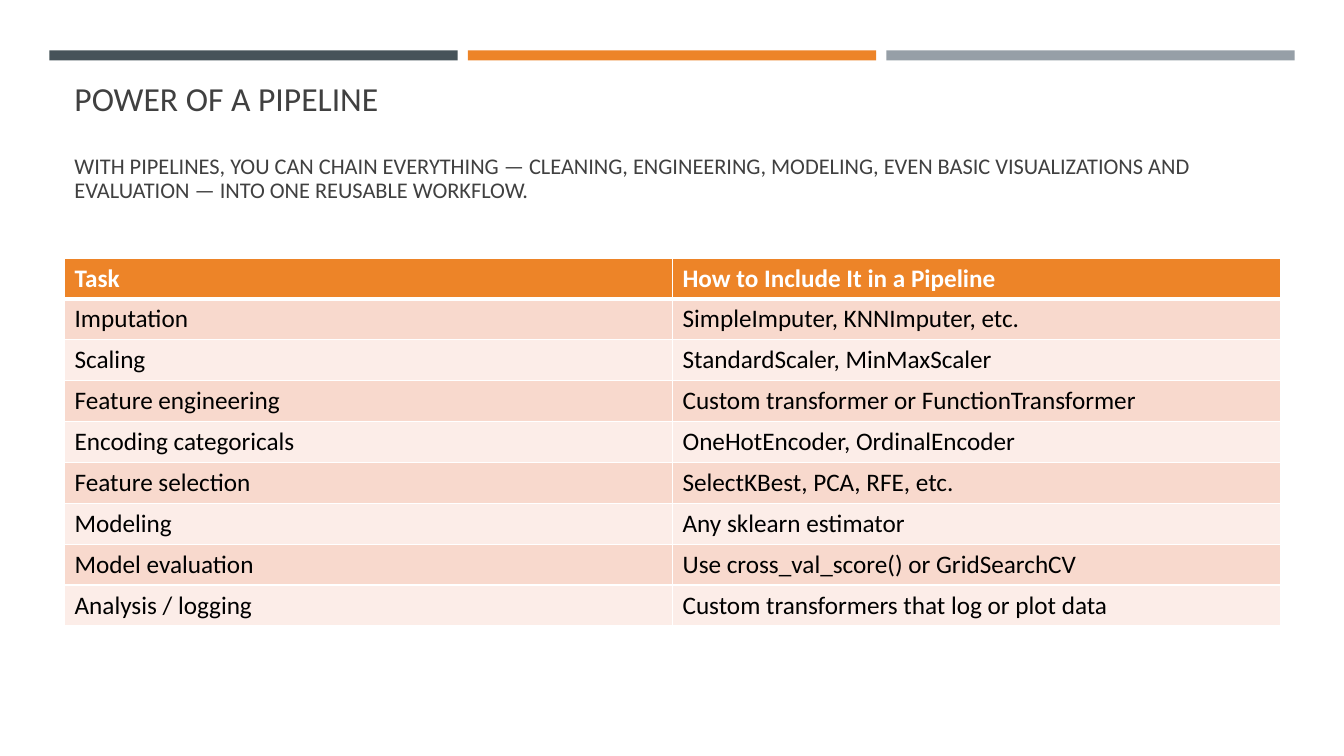
from lxml import etree
from pptx import Presentation
from pptx.dml.color import RGBColor
from pptx.enum.shapes import MSO_SHAPE
from pptx.enum.text import MSO_ANCHOR
from pptx.oxml.ns import qn
from pptx.util import Inches, Pt

RECTANGLE = MSO_SHAPE.RECTANGLE
MIDDLE = MSO_ANCHOR.MIDDLE
BOTTOM = MSO_ANCHOR.BOTTOM

FONT = "Calibri"
COLORS = {
    "slate": "465359",
    "orange": "ED8428",
    "gray": "969FA7",
    "heading": "404040",
    "white": "FFFFFF",
    "black": "000000",
    "band_dark": "F8D9CD",
    "band_light": "FCEDE8",
}

BARS = ["slate", "orange", "gray"]
HEADING = [  # text, size, space before
    ("POWER OF A PIPELINE", 24, 0),
    ("WITH PIPELINES, YOU CAN CHAIN EVERYTHING — CLEANING, ENGINEERING, MODELING, "
     "EVEN BASIC VISUALIZATIONS AND EVALUATION — INTO ONE REUSABLE WORKFLOW.", 16, 26),
]
TASKS = [
    ("Task", "How to Include It in a Pipeline"),
    ("Imputation", "SimpleImputer, KNNImputer, etc."),
    ("Scaling", "StandardScaler, MinMaxScaler"),
    ("Feature engineering", "Custom transformer or FunctionTransformer"),
    ("Encoding categoricals", "OneHotEncoder, OrdinalEncoder"),
    ("Feature selection", "SelectKBest, PCA, RFE, etc."),
    ("Modeling", "Any sklearn estimator"),
    ("Model evaluation", "Use cross_val_score() or GridSearchCV"),
    ("Analysis / logging", "Custom transformers that log or plot data"),
]

BAR_LEFT, BAR_TOP, BAR_WIDTH, BAR_HEIGHT, BAR_STEP = 0.49, 0.5, 4.05, 0.1, 4.15
CONTENT_LEFT, CONTENT_WIDTH = 0.64, 12.06
HEADING_TOP, HEADING_HEIGHT = 0.77, 1.3
TABLE_TOP, TABLE_HEIGHT = 2.56, 3.65


def color(name):
    return RGBColor.from_string(COLORS[name])


def style_runs(paragraph, size, color_name, bold=False):
    for run in paragraph.runs:
        run.font.name = FONT
        run.font.size = Pt(size)
        run.font.bold = bold
        run.font.color.rgb = color(color_name)


def add_borders(cell, widths):
    """Draw white cell borders; widths maps a side (L, R, T, B) to points."""
    properties = cell._tc.get_or_add_tcPr()
    for side, width in widths.items():
        line = etree.SubElement(properties, qn(f"a:ln{side}"), w=str(Pt(width)))
        fill = etree.SubElement(line, qn("a:solidFill"))
        etree.SubElement(fill, qn("a:srgbClr"), val=COLORS["white"])


def add_bars(slide):
    for index, name in enumerate(BARS):
        bar = slide.shapes.add_shape(
            RECTANGLE, Inches(BAR_LEFT + index * BAR_STEP), Inches(BAR_TOP),
            Inches(BAR_WIDTH), Inches(BAR_HEIGHT))
        bar.shadow.inherit = False
        bar.fill.solid()
        bar.fill.fore_color.rgb = color(name)
        bar.line.fill.background()


def add_heading(slide):
    box = slide.shapes.add_textbox(
        Inches(CONTENT_LEFT), Inches(HEADING_TOP),
        Inches(CONTENT_WIDTH), Inches(HEADING_HEIGHT))
    text_frame = box.text_frame
    text_frame.word_wrap = True
    text_frame.vertical_anchor = BOTTOM
    text_frame.text = "\n".join(text for text, _, _ in HEADING)
    for paragraph, (_, size, space) in zip(text_frame.paragraphs, HEADING):
        paragraph.line_spacing = 0.9
        paragraph.space_before = Pt(space)
        style_runs(paragraph, size, "heading")


def add_task_table(slide):
    table = slide.shapes.add_table(
        len(TASKS), len(TASKS[0]), Inches(CONTENT_LEFT), Inches(TABLE_TOP),
        Inches(CONTENT_WIDTH), Inches(TABLE_HEIGHT)).table
    for row, texts in enumerate(TASKS):
        is_header = row == 0
        band = "band_dark" if row % 2 else "band_light"
        for column, text in enumerate(texts):
            cell = table.cell(row, column)
            add_borders(cell, {"L": 1, "R": 1, "T": 3 if row == 1 else 1,
                               "B": 3 if is_header else 1})
            cell.fill.solid()
            cell.fill.fore_color.rgb = color("orange" if is_header else band)
            cell.vertical_anchor = MIDDLE
            cell.text_frame.text = text
            style_runs(cell.text_frame.paragraphs[0], 18,
                       "white" if is_header else "black", is_header)


def main():
    presentation = Presentation()
    presentation.slide_width = Inches(13.33)
    presentation.slide_height = Inches(7.5)
    slide = presentation.slides.add_slide(presentation.slide_layouts[6])
    add_bars(slide)
    add_heading(slide)
    add_task_table(slide)
    presentation.save("out.pptx")


if __name__ == "__main__":
    main()
